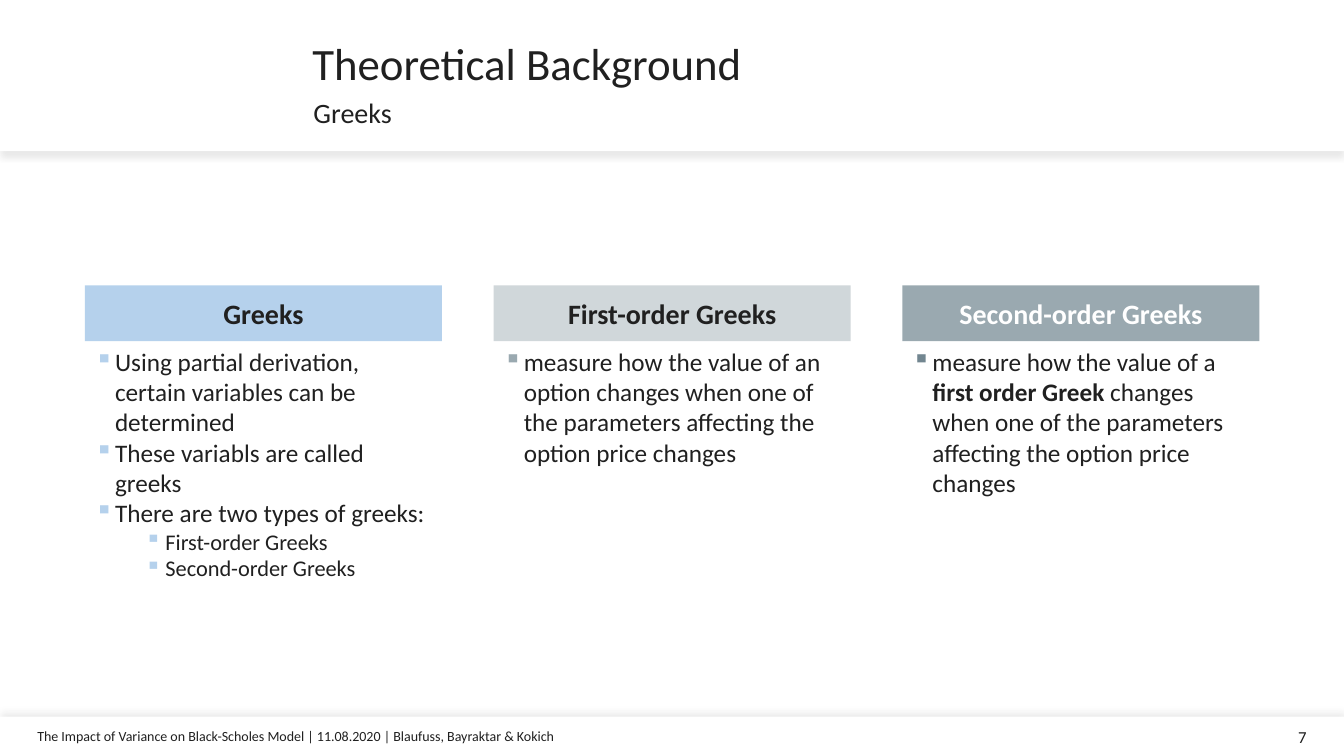
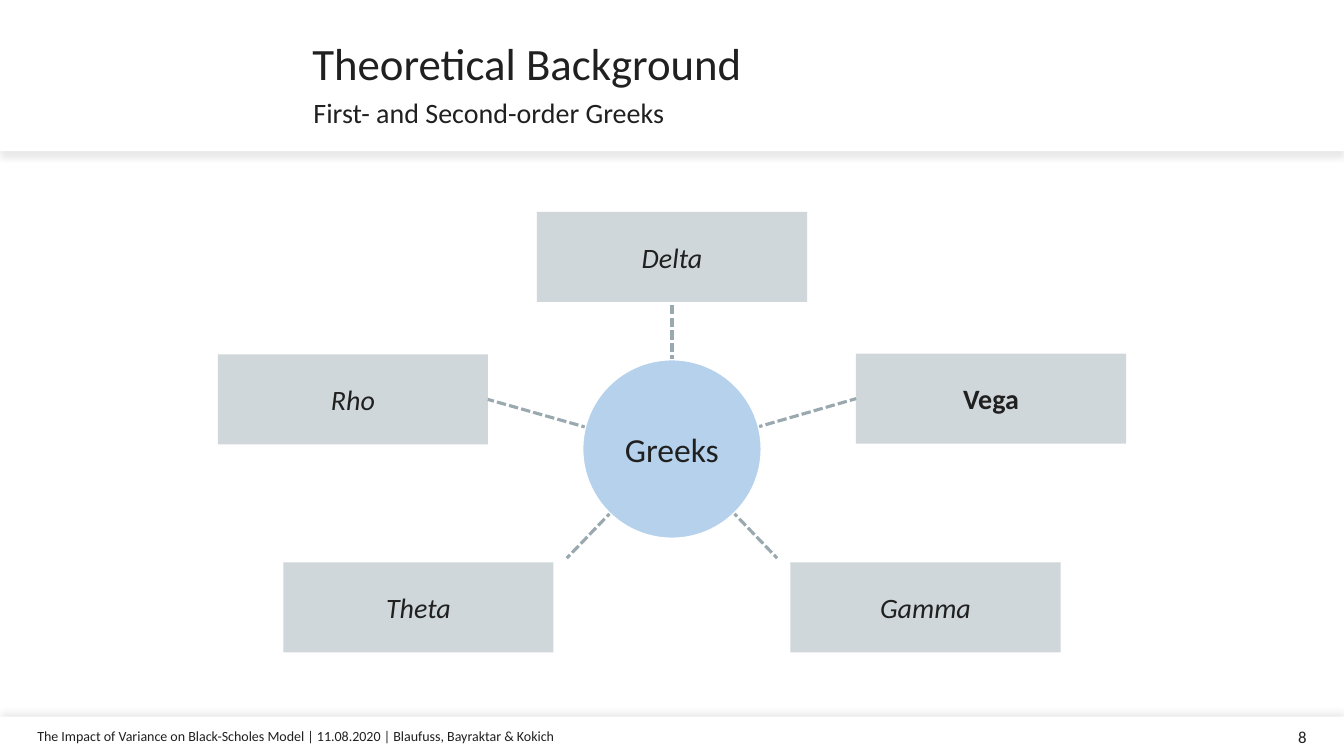
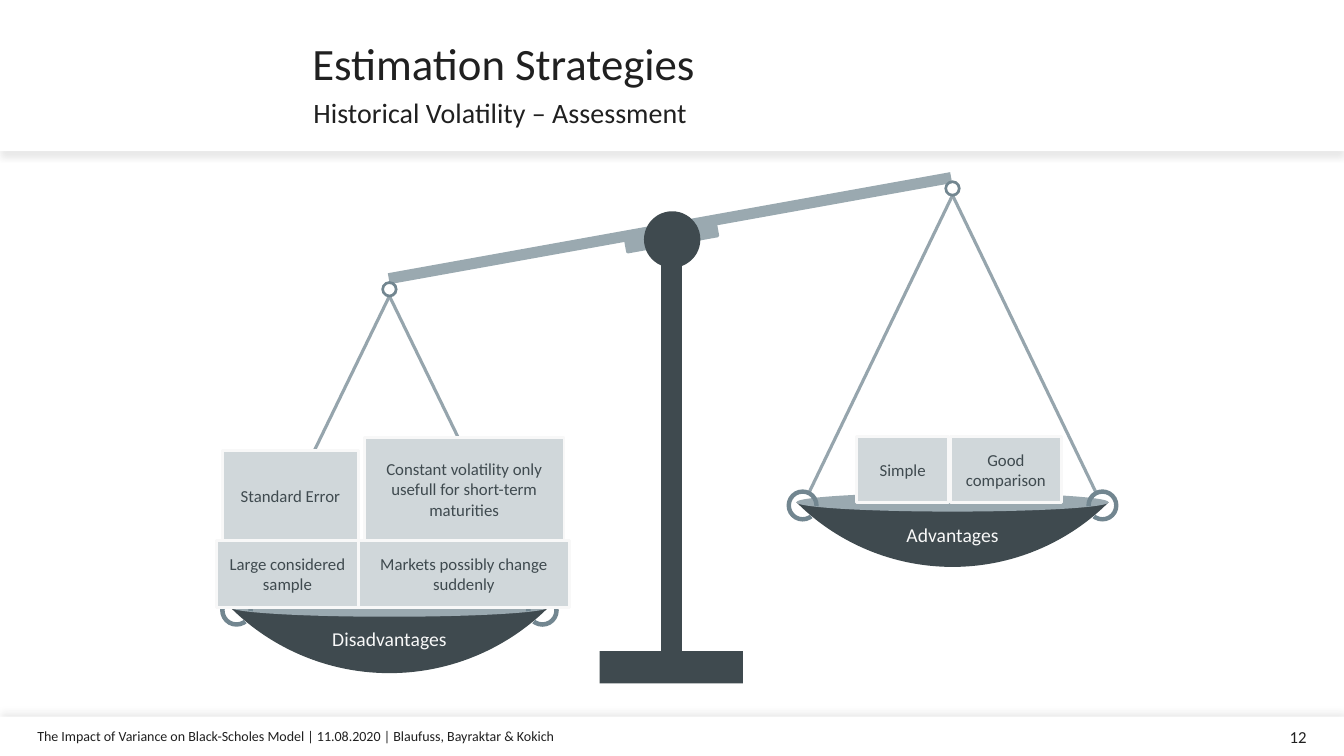
from collections import namedtuple
from math import cos, radians, sin, sqrt

from pptx import Presentation
from pptx.dml.color import RGBColor
from pptx.enum.dml import MSO_LINE
from pptx.enum.shapes import MSO_CONNECTOR, MSO_SHAPE as SHAPE
from pptx.enum.text import MSO_ANCHOR as ANCHOR, PP_ALIGN as ALIGN
from pptx.oxml.ns import qn
from pptx.oxml.xmlchemy import OxmlElement
from pptx.util import Cm, Pt

FONT = "Calibri"
INK = RGBColor(0x20, 0x20, 0x20)
WHITE = RGBColor(0xFF, 0xFF, 0xFF)
OFF_WHITE = RGBColor(0xF8, 0xF8, 0xF8)
BLUE = RGBColor(0xB5, 0xD1, 0xEC)
PALE = RGBColor(0xD0, 0xD7, 0xDA)
GREY = RGBColor(0x9A, 0xA9, 0xB0)
STRING = RGBColor(0x96, 0xA5, 0xAD)
STEEL = RGBColor(0x72, 0x86, 0x90)
DARK = RGBColor(0x3F, 0x4A, 0x4F)

# All boxes are in centimetres
Box = namedtuple("Box", "left top width height")
PAGE = Box(0, 0, 33.87, 19.05)
HEADER = Box(0, 0, PAGE.width, 3.81)
FOOTER = Box(0, 18.06, PAGE.width, 0.99)
BODY = Box(0, HEADER.height, PAGE.width, FOOTER.top - HEADER.height)
FOOTER_TEXT = "The Impact of Variance on Black-Scholes Model | 11.08.2020 | Blaufuss, Bayraktar & Kokich"


# Basic parts
def centred(x, y, width, height):
    return Box(x - width / 2, y - height / 2, width, height)


def add_run(paragraph, text, size, color=INK, bold=False, italic=False):
    run = paragraph.add_run()
    run.text = text
    run.font.name, run.font.size = FONT, Pt(size)
    run.font.bold, run.font.italic = bold, italic
    run.font.color.rgb = color


def add_block(slide, kind, box, fill, outline=None, outline_width=2):
    shape = slide.shapes.add_shape(kind, *map(Cm, box))
    shape.shadow.inherit = False
    shape.fill.solid()
    shape.fill.fore_color.rgb = fill
    if outline is None:
        shape.line.fill.background()
    else:
        shape.line.color.rgb = outline
        shape.line.width = Pt(outline_width)
    return shape


def label(shape, text, size, color=INK, **style):
    shape.text_frame.vertical_anchor = ANCHOR.MIDDLE
    paragraph = shape.text_frame.paragraphs[0]
    paragraph.alignment = ALIGN.CENTER
    add_run(paragraph, text, size, color, **style)


def set_insets(frame, side, end):
    frame.margin_left = frame.margin_right = Cm(side)
    frame.margin_top = frame.margin_bottom = Cm(end)


def add_text(slide, box, text, size, color=INK, align=ALIGN.LEFT, anchor=ANCHOR.TOP, side=0):
    frame = slide.shapes.add_textbox(*map(Cm, box)).text_frame
    frame.word_wrap = True
    frame.vertical_anchor = anchor
    set_insets(frame, side, 0)
    paragraph = frame.paragraphs[0]
    paragraph.alignment = align
    add_run(paragraph, text, size, color)
    return paragraph


def add_line(slide, start, end, color, dash=None):
    line = slide.shapes.add_connector(MSO_CONNECTOR.STRAIGHT, *map(Cm, start + end))
    line.line.color.rgb = color
    line.line.width = Pt(2.25)
    if dash:
        line.line.dash_style = dash
    line._element.spPr.append(OxmlElement("a:effectLst"))


def set_bullet(paragraph, color, indent):
    properties = paragraph._p.get_or_add_pPr()
    properties.set("marL", str(Cm(indent)))
    properties.set("indent", str(-Cm(0.51)))
    bullet_color = OxmlElement("a:buClr")
    value = OxmlElement("a:srgbClr")
    value.set("val", str(color))
    bullet_color.append(value)
    bullet = OxmlElement("a:buChar")
    bullet.set("char", "▪")
    properties.extend([bullet_color, bullet])


# Shared frame of every slide
def add_band(slide, box, direction):
    band = add_block(slide, SHAPE.RECTANGLE, box, WHITE)
    shadow = OxmlElement("a:outerShdw")
    for name, value in (("blurRad", Pt(5)), ("dist", Pt(3)),
                        ("dir", direction * 60000), ("algn", "ctr"), ("rotWithShape", 0)):
        shadow.set(name, str(value))
    color = OxmlElement("a:srgbClr")
    color.set("val", str(INK))
    alpha = OxmlElement("a:alpha")
    alpha.set("val", "10000")
    color.append(alpha)
    shadow.append(color)
    band._element.spPr.find(qn("a:effectLst")).append(shadow)


def add_header(slide, box, title, subtitle):
    add_band(slide, box, 90)
    left, width = box.left + 7.87, 25.04
    heading = add_text(slide, Box(left, box.top + 0.91, width, 1.5), title, 32,
                       anchor=ANCHOR.MIDDLE)
    heading.line_spacing = 0.9
    heading.space_before = Pt(10)
    add_text(slide, Box(left, box.top + 2.41, width, 0.84), subtitle, 20, side=0.03)


def add_footer(slide, box, number):
    add_band(slide, box, 270)
    margin = 0.94
    add_text(slide, Box(box.left + margin, box.top, 21.31, box.height), FOOTER_TEXT, 10,
             anchor=ANCHOR.MIDDLE)
    add_text(slide, Box(box.left + box.width - margin - 7.85, box.top, 7.85, box.height),
             str(number), 12, align=ALIGN.RIGHT, anchor=ANCHOR.MIDDLE)


def add_slide(presentation, title, subtitle, number):
    slide = presentation.slides.add_slide(presentation.slide_layouts[6])
    add_footer(slide, FOOTER, number)
    add_header(slide, HEADER, title, subtitle)
    return slide


# Column with a heading bar and bullets
def add_column(slide, box, column):
    bar_height = 1.41
    bar = add_block(slide, SHAPE.RECTANGLE, box._replace(height=bar_height), column["fill"])
    label(bar, column["heading"], 20, column.get("color", INK), bold=True)
    body = Box(box.left, box.top + bar_height, box.width, box.height - bar_height)
    frame = slide.shapes.add_textbox(*map(Cm, body)).text_frame
    frame.word_wrap = True
    for index, (level, runs) in enumerate(column["points"]):
        paragraph = frame.add_paragraph() if index else frame.paragraphs[0]
        paragraph.level = level
        set_bullet(paragraph, column["bullet"], 0.51 + 1.27 * level)
        for text, bold in runs:
            add_run(paragraph, text, 18 - 2 * level, bold=bold)


def add_columns(slide, box, columns):
    gap = 1.3
    width = (box.width - gap * (len(columns) - 1)) / len(columns)
    for index, column in enumerate(columns):
        left = box.left + index * (width + gap)
        add_column(slide, Box(left, box.top, width, box.height), column)


# Hub with boxes around it
def add_hub(slide, box, centre_text, arms):
    x, y = box.left + box.width / 2, box.top + box.height / 2 + 0.38
    for name, _, (dx, dy), _ in arms:
        shape = add_block(slide, SHAPE.RECTANGLE, centred(x + dx, y + dy, 6.81, 2.27), PALE)
        strong = name == "Vega"
        label(shape, name, 20, bold=strong, italic=not strong)
    for _, angle, _, (dx, dy) in arms:
        start = (x + 0.23 * cos(radians(angle)), y + 0.23 * sin(radians(angle)))
        add_line(slide, start, (x + dx, y + dy), GREY, MSO_LINE.SQUARE_DOT)
    circle = add_block(slide, SHAPE.OVAL, centred(x, y, 4.5, 4.5), BLUE, WHITE, 1)
    set_insets(circle.text_frame, 0.1, 0.1)
    label(circle, centre_text, 24)


# Scale: the box of a pan runs from its hook down to its rim
def set_angles(shape, start, end):
    shape.adjustments[0], shape.adjustments[1] = start * 0.6, end * 0.6


def add_pan(slide, box, text):
    x = box.left + box.width / 2
    rim_top = box.top + box.height
    rim_height = 0.06 * box.width
    rim_middle = rim_top + rim_height / 2
    for side in (1, -1):
        add_line(slide, (x, box.top + 0.17), (x + side * 0.46 * box.width, rim_top), STRING)

    diameter = box.width * sqrt(2)
    bowl = add_block(slide, SHAPE.CHORD,
                     centred(x, rim_middle - box.width / 2, diameter, diameter), DARK)
    set_angles(bowl, 45, 135)
    add_block(slide, SHAPE.OVAL, Box(box.left, rim_top, box.width, rim_height), GREY)

    ring_size = 0.103 * box.width
    for side, start, end in ((-1, 52.1, 3.4), (1, 176.6, 127.9)):
        ring = add_block(slide, SHAPE.BLOCK_ARC,
                         centred(x + side * 0.48 * box.width, rim_middle + 0.08,
                                 ring_size, ring_size), STEEL)
        set_angles(ring, start, end)
        ring.adjustments[2] = 0.138
    hook = add_block(slide, SHAPE.DONUT, centred(x, box.top, 0.41, 0.41), STEEL)
    hook.adjustments[0] = 0.17
    add_text(slide, Box(x - 2.9, rim_top + 0.75, 5.8, 0.61), text, 14, OFF_WHITE, ALIGN.CENTER)


def add_weights(slide, box, weights):
    x = box.left + box.width / 2
    base = box.top + box.height + 0.25
    for text, dx, rise, width, height in weights:
        weight = add_block(slide, SHAPE.RECTANGLE,
                           Box(x + dx, base - rise - height, width, height), PALE, OFF_WHITE)
        label(weight, text, 12, DARK)


def add_scale(slide, box, pans):
    x = box.left + box.width / 2
    # Tilted beam and its bracket
    beam = add_block(slide, SHAPE.RECTANGLE, Box(x - 7.25, box.top + 1.8, 14.4, 0.28), GREY)
    bracket = add_block(slide, SHAPE.RECTANGLE, Box(x - 1.16, box.top + 2.06, 2.31, 0.28),
                        GREY, GREY)
    beam.rotation = bracket.rotation = 349.8
    # Pans, then their loads
    pan_boxes = [Box(x + dx - width / 2, box.top + top, width, drop)
                 for _, dx, top, width, drop, _ in pans]
    for pan_box, pan in zip(pan_boxes, pans):
        add_pan(slide, pan_box, pan[0])
    for pan_box, pan in zip(pan_boxes, pans):
        add_weights(slide, pan_box, pan[-1])
    # Stand
    add_block(slide, SHAPE.RECTANGLE, Box(x - 1.82, box.top + 12.6, 3.61, 0.81), DARK)
    add_block(slide, SHAPE.RECTANGLE, Box(x - 0.23, box.top + 2.79, 0.46, 10.54), DARK, DARK)
    add_block(slide, SHAPE.OVAL, Box(x - 0.67, box.top + 1.55, 1.35, 1.35), DARK, DARK)


# Content
COLUMNS = [
    {"heading": "Greeks", "fill": BLUE, "bullet": BLUE, "points": [
        (0, [("Using partial derivation, certain variables can be determined", False)]),
        (0, [("These variabls are called greeks", False)]),
        (0, [("There are two types of greeks:", False)]),
        (1, [("First-order Greeks", False)]),
        (1, [("Second-order Greeks", False)])]},
    {"heading": "First-order Greeks", "fill": PALE, "bullet": GREY, "points": [
        (0, [("measure how the value of an option changes when one of the parameters "
              "affecting the option price changes", False)])]},
    {"heading": "Second-order Greeks", "fill": GREY, "bullet": STEEL, "color": WHITE, "points": [
        (0, [("measure how the value of a ", False), ("first order Greek", True),
             (" changes when one of the parameters affecting the option price changes",
              False)])]},
]

# Name, angle at the hub, box centre and line end as seen from the hub
ARMS = [
    ("Vega", 0, (8.04, -1.27), (4.64, -1.27)),
    ("Gamma", 45, (6.39, 3.99), (2.65, 2.75)),
    ("Theta", 135, (-6.39, 3.99), (-2.65, 2.75)),
    ("Rho", 180, (-8.04, -1.25), (-4.64, -1.25)),
    ("Delta", -90, (0, -4.84), (0, -3.7)),
]

# Label, hook offset, hook top, rim width, drop, weights (text, offset, rise, width, height)
PANS = [
    ("Advantages", 7.07, 0.94, 7.87, 7.67, [
        ("Simple", -2.41, 0, 2.31, 1.68),
        ("Good comparison", -0.05, 0, 2.79, 1.68)]),
    ("Disadvantages", -7.12, 3.48, 8.03, 7.77, [
        ("Standard Error", -4.21, 1.67, 3.43, 2.29),
        ("Constant volatility only usefull for short-term maturities", -0.63, 1.67, 5.03, 2.62),
        ("Markets possibly change suddenly", -0.78, 0, 5.31, 1.68),
        ("Large considered sample", -4.36, 0, 3.58, 1.68)]),
]

presentation = Presentation()
presentation.slide_width, presentation.slide_height = Cm(PAGE.width), Cm(PAGE.height)

greeks = add_slide(presentation, "Theoretical Background", "Greeks", 7)
add_columns(greeks, Box(2.14, 7.19, 29.6, 7.78), COLUMNS)

orders = add_slide(presentation, "Theoretical Background", "First- and Second-order Greeks", 8)
add_hub(orders, BODY, "Greeks", ARMS)

assessment = add_slide(presentation, "Estimation Strategies",
                       "Historical Volatility – Assessment", 12)
add_scale(assessment, BODY, PANS)

presentation.save("out.pptx")
